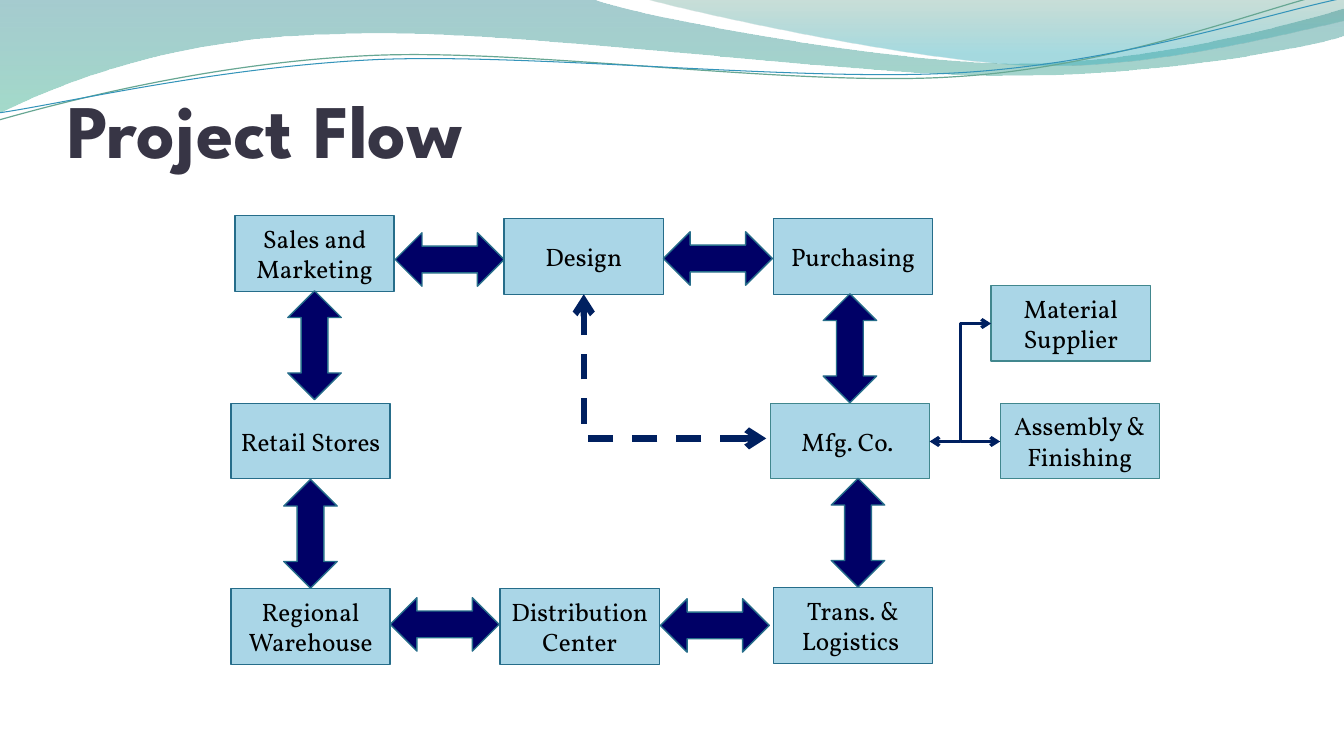
from dataclasses import dataclass

from lxml import etree
from pptx import Presentation
from pptx.dml.color import RGBColor
from pptx.enum.dml import MSO_LINE
from pptx.enum.shapes import MSO_CONNECTOR as Connector, MSO_SHAPE as Shape
from pptx.enum.text import MSO_ANCHOR as Anchor, MSO_AUTO_SIZE as AutoSize, PP_ALIGN as Align
from pptx.oxml.ns import qn
from pptx.util import Pt

EMU_PER_PX = 9144  # 100 px to the inch
BOX_SIZE = (158, 75)
ARROW_SIZE = (108, 53)


@dataclass(frozen=True)
class Theme:
    title_font: str = "League Spartan"
    body_font: str = "Vollkorn"
    title_size: int = 54
    body_size: int = 18
    title_color: str = "373545"
    text_color: str = "000000"
    box_fill: str = "AAD6E7"
    blue_edge: str = "266D8A"
    teal_edge: str = "41878E"
    arrow_fill: str = "000066"
    connector: str = "002060"
    green_wave: str = "67A793"
    blue_wave: str = "3494BA"
    # gradient stops: position, colour, opacity in percent
    wide_band: tuple = ((0, "398D96", 45), (1, "58BD9F", 55))
    right_band: tuple = ((0, "4F947F", 30), (0.8, "3BAFBC", 45))


# Outlines: a start point, then line steps (2 numbers) or cubic steps (6 numbers).
WIDE_BAND = [
    (0, 0), (587, -1), (634, 17, 884, 63, 1011, 63), (1137, 63, 1277, 26, 1333, 9),
    (1334, 36), (1311, 44, 1159, 76, 994, 75), (829, 75, 509, 28, 343, 34),
    (172, 36, 61, 83, -2, 113),
]
RIGHT_BAND = [
    (638, -1), (679, 11, 909, 62, 1025, 65), (1140, 69, 1282, 32, 1333, 21), (1333, 0),
]
GREEN_WAVE = [
    (-1, 119), (63, 101, 210, 62, 369, 55), (527, 48, 789, 87, 949, 76),
    (1110, 66, 1251, 8, 1330, -10),
]
BLUE_WAVE = [
    (-1, 112), (62, 103, 218, 66, 377, 59), (537, 53, 796, 82, 955, 72),
    (1114, 62, 1255, 14, 1333, -2),
]

FLOW_BOXES = [
    (233, 214, "Sales and Marketing"),
    (500, 217, "Design"),
    (767, 217, "Purchasing"),
    (229, 400, "Retail Stores"),
    (229, 584, "Regional Warehouse"),
    (496, 584, "Distribution\nCenter"),
    (767, 583, "Trans. & Logistics "),
]
SUPPLY_BOXES = [
    (764, 400, "Mfg. Co. "),
    (992, 400, "Assembly & Finishing"),
    (983, 283, "Material Supplier"),
]
ACROSS_ARROWS = [(392, 231), (658, 230), (387, 593), (655, 594)]
UPRIGHT_ARROWS = [(258, 316), (254, 503), (789, 319), (797, 502)]


def px(length):
    return round(length * EMU_PER_PX)


class SlideBuilder:
    def __init__(self, presentation, theme):
        self.theme = theme
        self.slide = presentation.slides.add_slide(presentation.slide_layouts[5])
        self.shapes = self.slide.shapes

    def add_run(self, paragraph, text, font_name, size, color, bold=False):
        run = paragraph.add_run()
        run.text = text
        font = run.font
        font.name, font.size, font.bold = font_name, Pt(size), bold
        font.color.rgb = RGBColor.from_string(color)

    def set_line(self, shape, color, width):
        shape.line.color.rgb = RGBColor.from_string(color)
        shape.line.width = Pt(width)

    def title(self, text, left, top, width, height):
        shape = self.shapes.title
        shape.left, shape.top, shape.width, shape.height = map(px, (left, top, width, height))
        frame = shape.text_frame
        frame.auto_size = AutoSize.NONE
        frame.vertical_anchor = Anchor.BOTTOM
        frame.margin_left = frame.margin_right = frame.margin_bottom = 0
        frame.margin_top = px(5)
        paragraph = frame.paragraphs[0]
        paragraph.alignment = Align.LEFT
        theme = self.theme
        self.add_run(paragraph, text, theme.title_font, theme.title_size, theme.title_color, True)

    def outline(self, steps, closed):
        """Freeform through the end points, with its cubic steps bent into curves."""
        anchors = [step[-2:] for step in steps]
        builder = self.shapes.build_freeform(*anchors[0], scale=EMU_PER_PX)
        builder.add_line_segments(anchors[1:], close=closed)
        shape = builder.convert_to_shape()
        shape.shadow.inherit = False
        left, top = (min(values) for values in zip(*anchors))
        segments = list(shape._element.spPr.iter(qn("a:lnTo")))
        for segment, step in zip(segments, steps[1:]):
            if len(step) == 6:
                segment.tag = qn("a:cubicBezTo")
                controls = [(step[0], step[1]), (step[2], step[3])]
                for index, (x, y) in enumerate(controls):
                    point = etree.Element(qn("a:pt"), x=str(x - left), y=str(y - top))
                    segment.insert(index, point)
        return shape

    def band(self, steps, stops):
        shape = self.outline(steps, closed=True)
        shape.line.fill.background()
        fill = shape.fill
        fill.gradient()
        fill.gradient_angle = 270
        for stop, (position, color, _) in zip(fill.gradient_stops, stops):
            stop.position = position
            stop.color.rgb = RGBColor.from_string(color)
        colors = shape._element.spPr.iter(qn("a:srgbClr"))
        for element, (_, _, opacity) in zip(colors, stops):
            etree.SubElement(element, qn("a:alpha"), val=str(opacity * 1000))

    def wave(self, steps, color, width):
        shape = self.outline(steps, closed=False)
        shape.fill.background()
        self.set_line(shape, color, width)

    def solid(self, kind, left, top, size, fill, edge):
        shape = self.shapes.add_shape(kind, px(left), px(top), *map(px, size))
        shape.shadow.inherit = False
        shape.fill.solid()
        shape.fill.fore_color.rgb = RGBColor.from_string(fill)
        self.set_line(shape, edge, 1)
        return shape

    def box(self, left, top, text, edge):
        theme = self.theme
        shape = self.solid(Shape.RECTANGLE, left, top, BOX_SIZE, theme.box_fill, edge)
        frame = shape.text_frame
        frame.word_wrap = True
        frame.vertical_anchor = Anchor.MIDDLE
        for index, line in enumerate(text.split("\n")):
            paragraph = frame.add_paragraph() if index else frame.paragraphs[0]
            paragraph.alignment = Align.CENTER
            self.add_run(paragraph, line, theme.body_font, theme.body_size, theme.text_color)

    def block_arrow(self, left, top, rotation=0):
        theme = self.theme
        shape = self.solid(Shape.LEFT_RIGHT_ARROW, left, top, ARROW_SIZE,
                           theme.arrow_fill, theme.blue_edge)
        shape.rotation = rotation

    def connector(self, kind, start, end, width, ends=("headEnd", "tailEnd"), dash=None):
        line = self.shapes.add_connector(kind, *map(px, start + end))
        self.set_line(line, self.theme.connector, width)
        if dash:
            line.line.dash_style = dash
        properties = line._element.spPr
        for end_name in ends:
            etree.SubElement(properties.find(qn("a:ln")), qn(f"a:{end_name}"), type="arrow")
        etree.SubElement(properties, qn("a:effectLst"))
        return line

    def corner_connector(self, start, end, width, dash):
        """Connector with one bend: across first, then up or down."""
        line = self.connector(Connector.ELBOW, start, end, width, dash=dash)
        line._element.spPr.find(qn("a:prstGeom")).set("prst", "bentConnector2")


def main():
    presentation = Presentation()
    presentation.slide_width, presentation.slide_height = px(1333), px(750)
    theme = Theme()
    builder = SlideBuilder(presentation, theme)

    builder.band(WIDE_BAND, theme.wide_band)
    builder.band(RIGHT_BAND, theme.right_band)
    builder.wave(GREEN_WAVE, theme.green_wave, 0.85)
    builder.wave(BLUE_WAVE, theme.blue_wave, 0.75)
    builder.title("Project Flow", 67, 77, 1200, 95)

    for boxes, edge in ((FLOW_BOXES, theme.blue_edge), (SUPPLY_BOXES, theme.teal_edge)):
        for left, top, text in boxes:
            builder.box(left, top, text, edge)
    for arrows, rotation in ((ACROSS_ARROWS, 0), (UPRIGHT_ARROWS, 270)):
        for left, top in arrows:
            builder.block_arrow(left, top, rotation)

    builder.corner_connector((760, 435), (579, 292), 4.5, MSO_LINE.DASH)
    builder.connector(Connector.ELBOW, (983, 321), (922, 438), 2.25)
    builder.connector(Connector.STRAIGHT, (953, 438), (992, 438), 2.25, ends=("tailEnd",))
    presentation.save("out.pptx")


if __name__ == "__main__":
    main()
